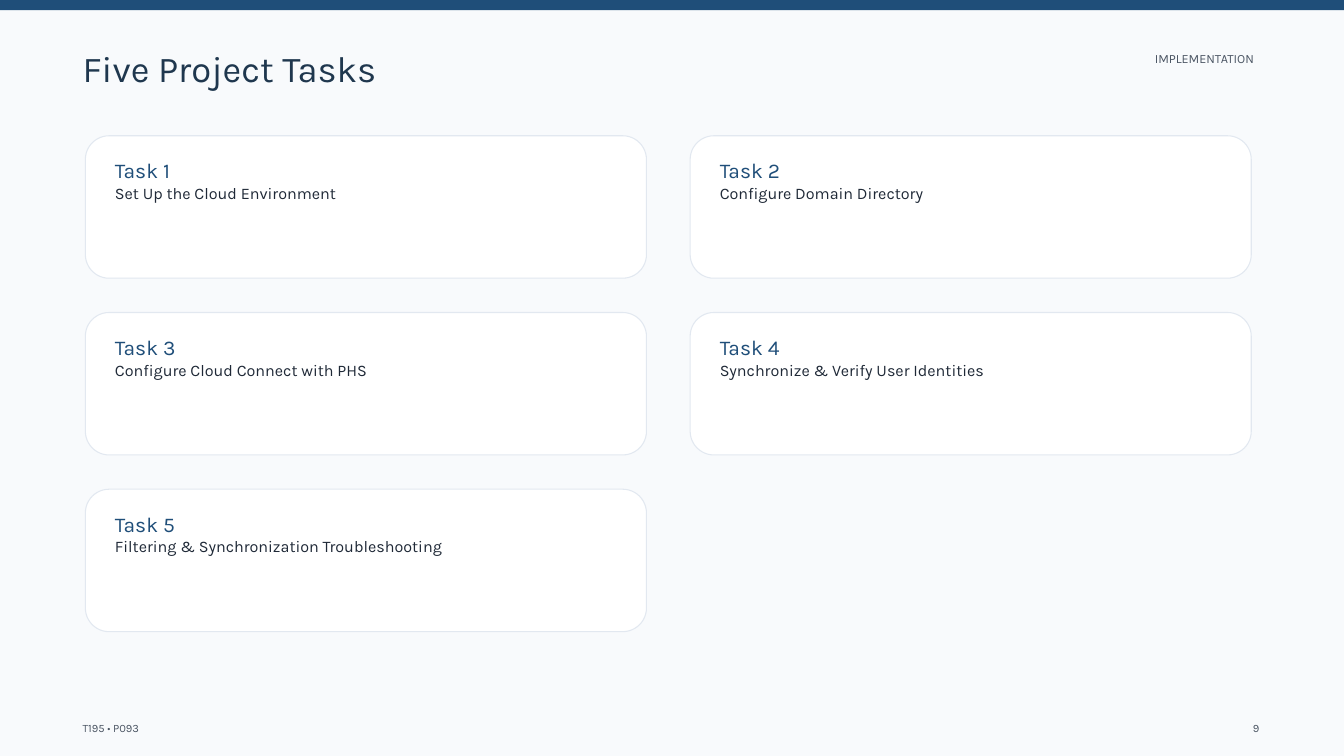
from pptx import Presentation
from pptx.dml.color import RGBColor
from pptx.enum.shapes import MSO_SHAPE as Shape
from pptx.enum.text import MSO_ANCHOR as Anchor, PP_ALIGN as Align
from pptx.util import Inches, Pt

COLORS = {
    "bar": "1F4E79",
    "background": "F8FAFC",
    "title": "1F374E",
    "muted": "4B5563",
    "card": "FFFFFF",
    "border": "E2E8F0",
    "body": "1F2937",
}
FONT = "Karla"
LINE_HEIGHT = 1.2

# Card grid, in inches
LEFT, TOP = 1.27, 2.02
CARD_W, CARD_H = 8.35, 2.12
COLUMN_STEP, ROW_STEP = 9.0, 2.63
COLUMNS = 2
PAD_X, PAD_Y = 0.44, 0.33

TASKS = [
    "Set Up the Cloud Environment",
    "Configure Domain Directory",
    "Configure Cloud Connect with PHS",
    "Synchronize & Verify User Identities",
    "Filtering & Synchronization Troubleshooting",
]


def color(name):
    return RGBColor.from_string(COLORS[name])


def write(frame, lines, align=Align.LEFT, pad_x=0, pad_y=0):
    """Fill a text frame with (text, size, colour name) lines, one paragraph each."""
    frame.word_wrap = True
    frame.vertical_anchor = Anchor.TOP
    frame.margin_left = frame.margin_right = Inches(pad_x)
    frame.margin_top = frame.margin_bottom = Inches(pad_y)
    for index, (text, size, tint) in enumerate(lines):
        paragraph = frame.add_paragraph() if index else frame.paragraphs[0]
        paragraph.alignment = align
        paragraph.line_spacing = Pt(size * LINE_HEIGHT)
        run = paragraph.add_run()
        run.text = text
        run.font.name = FONT
        run.font.size = Pt(size)
        run.font.color.rgb = color(tint)


prs = Presentation()
prs.slide_width, prs.slide_height = Inches(20), Inches(11.25)
slide = prs.slides.add_slide(prs.slide_layouts[5])
slide.background.fill.solid()
slide.background.fill.fore_color.rgb = color("background")

top_bar = slide.shapes.add_shape(Shape.RECTANGLE, 0, 0, prs.slide_width, Inches(0.15))
top_bar.shadow.inherit = False
top_bar.fill.solid()
top_bar.fill.fore_color.rgb = color("bar")
top_bar.line.fill.background()

title = slide.shapes.title
title.left, title.top = Inches(1.23), Inches(0.68)
title.width, title.height = Inches(17.36), Inches(0.88)
write(title.text_frame, [("Five Project Tasks", 39, "title")])

for index, task in enumerate(TASKS):
    row, column = divmod(index, COLUMNS)
    card = slide.shapes.add_shape(
        Shape.ROUNDED_RECTANGLE,
        Inches(LEFT + column * COLUMN_STEP), Inches(TOP + row * ROW_STEP),
        Inches(CARD_W), Inches(CARD_H))
    card.shadow.inherit = False
    card.adjustments[0] = 1 / 6
    card.fill.solid()
    card.fill.fore_color.rgb = color("card")
    card.line.color.rgb = color("border")
    card.line.width = Pt(1.13)
    # The rounded corners already inset the text by 0.29 of their radius
    corner_inset = 0.29 * CARD_H / 6
    write(card.text_frame,
          [(f"Task {index + 1}", 22.5, "bar"), (task, 17.3, "body")],
          pad_x=PAD_X - corner_inset, pad_y=PAD_Y - corner_inset)

LABELS = [
    ("IMPLEMENTATION", 13.5, Align.RIGHT, (16.16, 0.76, 2.5, 0.44)),
    ("T195 • P093", 12, Align.LEFT, (1.23, 10.74, 8.75, 0.23)),
    ("9", 12, Align.RIGHT, (17.81, 10.74, 0.93, 0.23)),
]
for text, size, align, box in LABELS:
    label = slide.shapes.add_textbox(*map(Inches, box))
    write(label.text_frame, [(text, size, "muted")], align)

prs.save("out.pptx")
